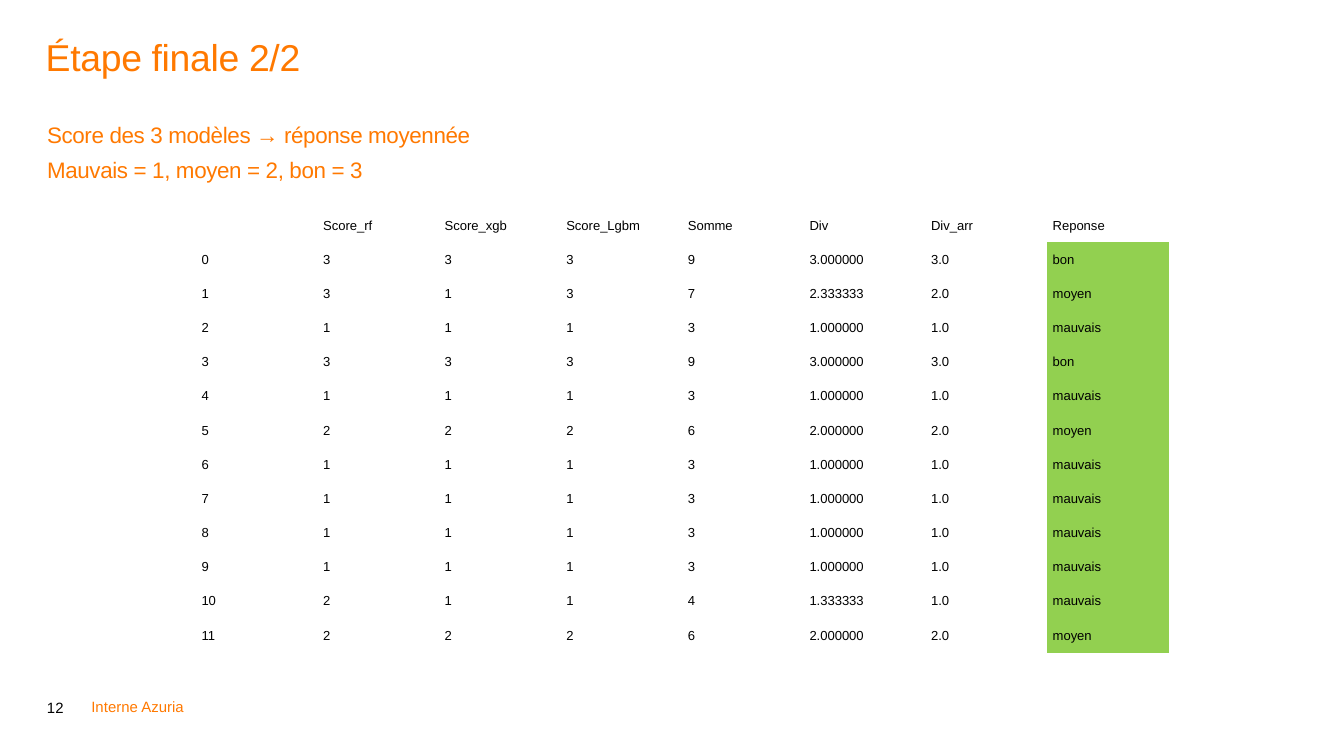
from lxml.etree import SubElement
from pptx import Presentation
from pptx.dml.color import RGBColor
from pptx.enum.text import MSO_ANCHOR as Anchor
from pptx.oxml.ns import qn
from pptx.util import Inches, Pt

ORANGE = RGBColor(0xFF, 0x79, 0x00)
BLACK = RGBColor(0x00, 0x00, 0x00)
GREEN = RGBColor(0x92, 0xD0, 0x50)
PLAIN_TABLE_STYLE = "{2D5ABB26-0587-4C30-8999-92F81FD0307C}"

HEADERS = ["", "Score_rf", "Score_xgb", "Score_Lgbm", "Somme", "Div", "Div_arr", "Reponse"]
ANSWERS = {1: "mauvais", 2: "moyen", 3: "bon"}
MODEL_SCORES = [
    (3, 3, 3), (3, 1, 3), (1, 1, 1), (3, 3, 3), (1, 1, 1), (2, 2, 2),
    (1, 1, 1), (1, 1, 1), (1, 1, 1), (1, 1, 1), (2, 1, 1), (2, 2, 2),
]


def score_row(index, scores):
    """Average the model scores and turn the rounded mean into an answer."""
    total = sum(scores)
    mean = total / len(scores)
    rounded = round(mean)
    return [index, *scores, total, f"{mean:.6f}", f"{rounded:.1f}", ANSWERS[rounded]]


class SlideBuilder:
    font_name = "Arial"

    def __init__(self, slide):
        self.slide = slide

    def format_runs(self, paragraph, size, color, tracking=0):
        for run in paragraph.runs:
            run.font.name = self.font_name
            run.font.size = Pt(size)
            run.font.color.rgb = color
            if tracking:
                run.font._element.set("spc", str(round(tracking * 100)))

    def add_text(self, box, text, size, color=ORANGE, anchor=Anchor.TOP, wrap=True,
                 line_spacing=None, space_before=0, tracking=0, left_inset=0):
        shape = self.slide.shapes.add_textbox(*map(Inches, box))
        frame = shape.text_frame
        frame.word_wrap = wrap
        frame.vertical_anchor = anchor
        frame.margin_left = Inches(left_inset)
        frame.margin_right = frame.margin_top = frame.margin_bottom = 0
        frame.text = text
        for paragraph in frame.paragraphs:
            paragraph.line_spacing = line_spacing
            paragraph.space_before = Pt(space_before)
            self.format_runs(paragraph, size, color, tracking)

    def add_table(self, box, rows, size, answer_fill):
        """Add a plain table whose last column is filled below the header."""
        frame = self.slide.shapes.add_table(len(rows), len(rows[0]), *map(Inches, box))
        table = frame.table
        table.first_row = table.horz_banding = False
        table._tbl.tblPr.find(qn("a:tableStyleId")).text = PLAIN_TABLE_STYLE
        last_column = len(rows[0]) - 1
        for row_index, row in enumerate(rows):
            for column_index, value in enumerate(row):
                cell = table.cell(row_index, column_index)
                self.fill_cell(cell, str(value), size)
                if row_index and column_index == last_column:
                    cell.fill.solid()
                    cell.fill.fore_color.rgb = answer_fill
                else:
                    cell.fill.background()

    def fill_cell(self, cell, text, size):
        cell.margin_left = cell.margin_right = Inches(0.04)
        cell.margin_top = cell.margin_bottom = Inches(0.02)
        cell.vertical_anchor = Anchor.MIDDLE
        paragraph = cell.text_frame.paragraphs[0]
        if text:
            paragraph.text = text
            self.format_runs(paragraph, size, BLACK)
        else:
            # An empty cell needs its own size, or it stretches the row.
            SubElement(paragraph._p, qn("a:endParaRPr"), sz=str(size * 100))


def main():
    presentation = Presentation()
    presentation.slide_width = Inches(10)
    presentation.slide_height = presentation.slide_width * 9 // 16
    builder = SlideBuilder(presentation.slides.add_slide(presentation.slide_layouts[6]))

    builder.add_text((0.34, 4.96, 0.3, 0.37), "12", 8, BLACK, Anchor.BOTTOM,
                     line_spacing=0.85, left_inset=0.01)
    builder.add_text((0.68, 5.19, 0.81, 0.13), "Interne Azuria", 8, wrap=False)
    builder.add_text((0.35, 0.92, 9.31, 3.68),
                     "Score des 3 modèles → réponse moyennée\nMauvais = 1, moyen = 2, bon = 3",
                     12, line_spacing=0.9, space_before=6, tracking=-0.2)
    builder.add_text((0.34, 0.29, 9.31, 0.81), "Étape finale 2/2", 20,
                     line_spacing=0.9, tracking=-0.2)

    rows = [HEADERS] + [score_row(i, scores) for i, scores in enumerate(MODEL_SCORES)]
    builder.add_table((1.46, 1.55, 7.24, 3.31), rows, 7, GREEN)
    presentation.save("out.pptx")


if __name__ == "__main__":
    main()
